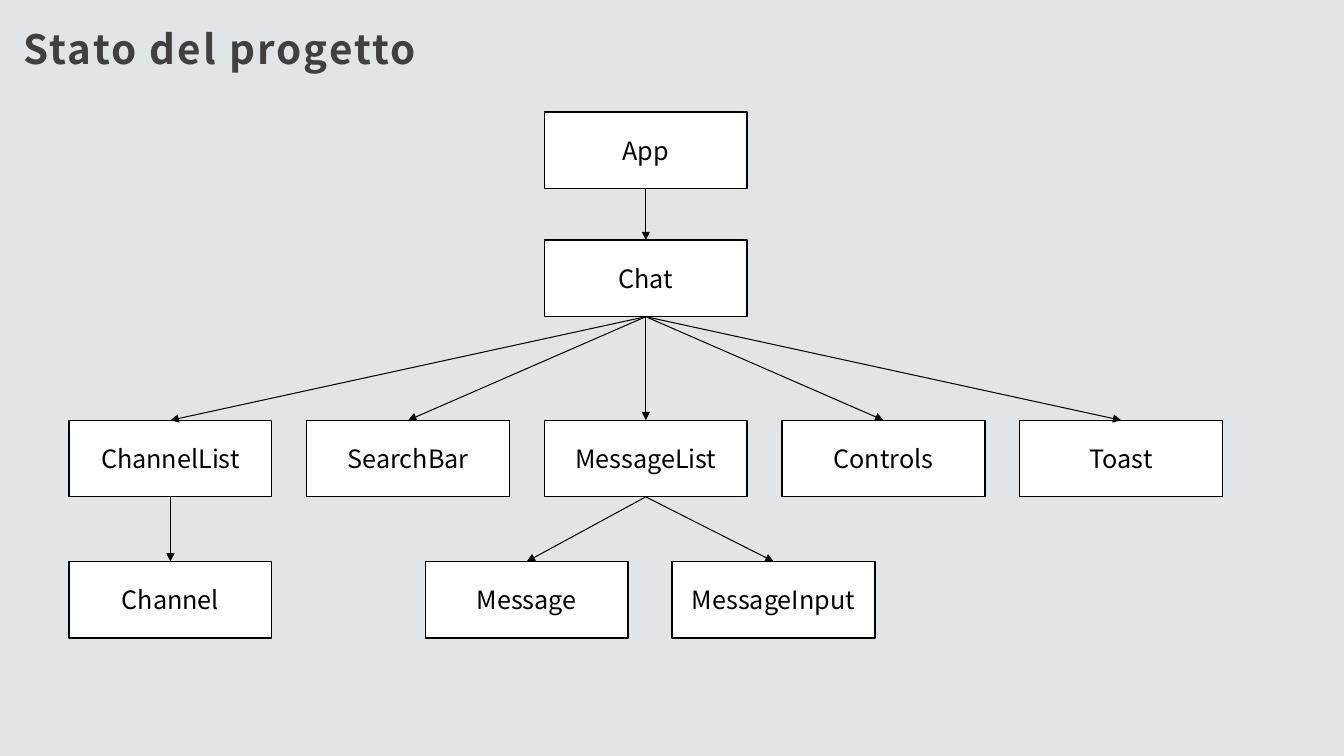
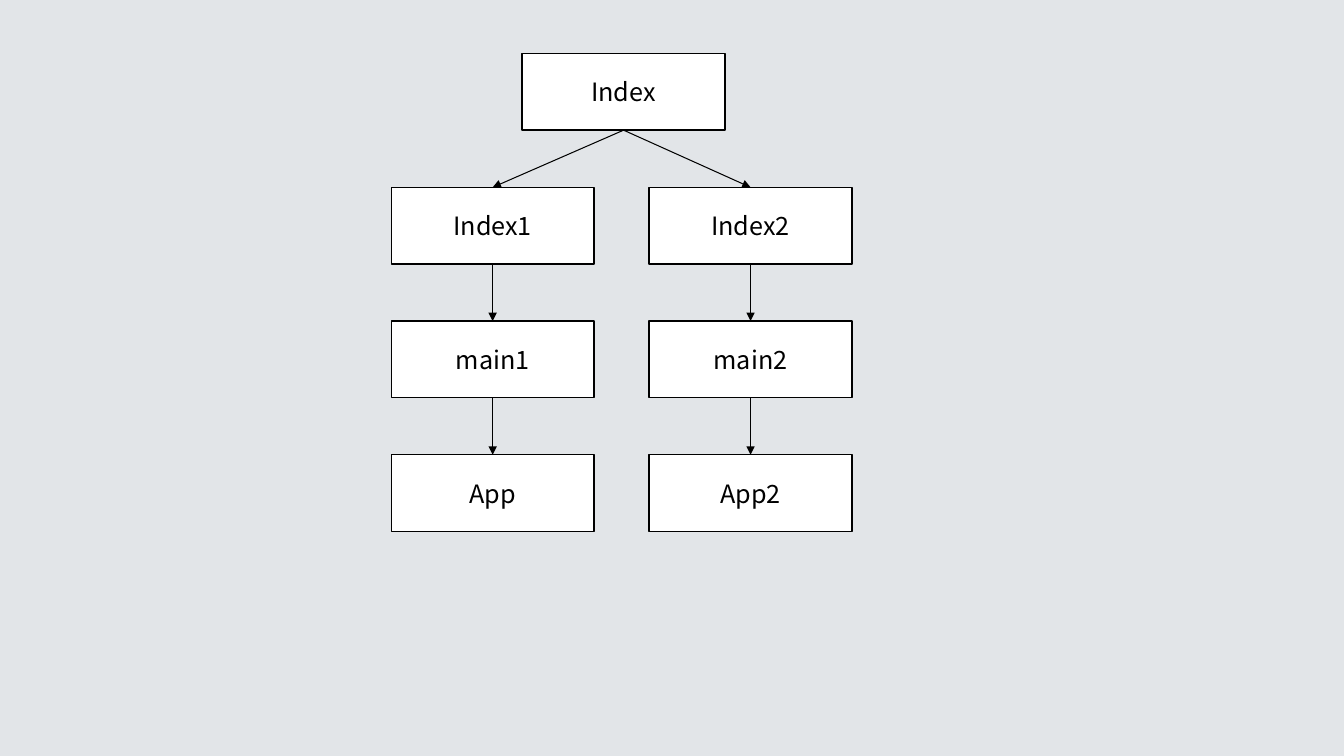
from lxml import etree
from pptx import Presentation
from pptx.dml.color import RGBColor
from pptx.enum.shapes import MSO_CONNECTOR, MSO_SHAPE
from pptx.enum.text import MSO_ANCHOR, MSO_AUTO_SIZE, PP_ALIGN
from pptx.oxml.ns import qn
from pptx.util import Cm, Pt

RECTANGLE = MSO_SHAPE.RECTANGLE
STRAIGHT = MSO_CONNECTOR.STRAIGHT
MIDDLE, BOTTOM = MSO_ANCHOR.MIDDLE, MSO_ANCHOR.BOTTOM
LEFT, CENTER = PP_ALIGN.LEFT, PP_ALIGN.CENTER
NO_AUTOFIT = MSO_AUTO_SIZE.NONE

TITLE_ONLY, BLANK = 5, 6
TOP_SIDE, BOTTOM_SIDE = 0, 2
FONT = "Noto Sans CJK JP"
COLORS = {
    "background": "E2E5E8",
    "title": "404040",
    "box": "FFFFFF",
    "ink": "000000",
}
BOX_WIDTH, BOX_HEIGHT = 5.11, 1.93


def color(name):
    return RGBColor.from_string(COLORS[name])


def write(shape, text, size=18, ink="ink", bold=False, align=CENTER,
          anchor=MIDDLE, line_spacing=None, tracking=None):
    """Fill a shape with one formatted paragraph; tracking is in points."""
    frame = shape.text_frame
    frame.word_wrap = True
    frame.auto_size = NO_AUTOFIT
    frame.vertical_anchor = anchor
    para = frame.paragraphs[0]
    para.alignment = align
    para.line_spacing = line_spacing
    span = para.add_run()
    span.text = text
    span.font.name = FONT
    span.font.size = Pt(size)
    span.font.bold = bold
    span.font.color.rgb = color(ink)
    if tracking is not None:
        span.font._element.set("spc", str(round(tracking * 100)))


def set_title(page, text):
    title = page.shapes.title
    title.left, title.top = Cm(0.3), Cm(0.15)
    title.width, title.height = Cm(11.86), Cm(1.93)
    frame = title.text_frame
    frame.margin_left = frame.margin_top = frame.margin_right = Cm(0.3)
    frame.margin_bottom = Cm(0.25)
    write(title, text, size=28.8, ink="title", bold=True, align=LEFT,
          anchor=BOTTOM, line_spacing=1.3, tracking=1.5)


def add_box(page, text, left, top):
    box = page.shapes.add_shape(
        RECTANGLE, Cm(left), Cm(top), Cm(BOX_WIDTH), Cm(BOX_HEIGHT))
    box.shadow.inherit = False
    box.fill.solid()
    box.fill.fore_color.rgb = color("box")
    box.line.color.rgb = color("ink")
    box.line.width = Pt(1)
    write(box, text)
    return box


def add_arrow(page, parent, child):
    arrow = page.shapes.add_connector(STRAIGHT, 0, 0, 0, 0)
    arrow.begin_connect(parent, BOTTOM_SIDE)
    arrow.end_connect(child, TOP_SIDE)
    arrow.line.color.rgb = color("ink")
    arrow.line.width = Pt(0.75)
    outline = arrow.line._get_or_add_ln()
    etree.SubElement(outline, qn("a:tailEnd"), type="triangle")
    etree.SubElement(arrow._element.spPr, qn("a:effectLst"))


def add_tree(page, positions, children):
    """Draw boxes at {name: (left, top)} and arrows for {parent: children}."""
    boxes = {name: add_box(page, name, left, top)
             for name, (left, top) in positions.items()}
    for parent, names in children.items():
        for name in names:
            add_arrow(page, boxes[parent], boxes[name])


def build_component_page(deck):
    page = deck.slides.add_slide(deck.slide_layouts[TITLE_ONLY])
    set_title(page, "Stato del progetto")
    first_left, column_step = 1.74, 5.99
    center_left = first_left + 2 * column_step
    parts_top, details_top = 10.59, 14.15
    parts = ["ChannelList", "SearchBar", "MessageList", "Controls", "Toast"]
    positions = {"App": (center_left, 2.82), "Chat": (center_left, 6.05)}
    for column, name in enumerate(parts):
        positions[name] = (first_left + column * column_step, parts_top)
    positions["Channel"] = (first_left, details_top)
    positions["Message"] = (10.72, details_top)
    positions["MessageInput"] = (16.94, details_top)
    add_tree(page, positions, {
        "App": ["Chat"],
        "Chat": parts,
        "ChannelList": ["Channel"],
        "MessageList": ["Message", "MessageInput"],
    })


def build_entry_page(deck):
    page = deck.slides.add_slide(deck.slide_layouts[BLANK])
    first_top, row_step = 1.35, 3.37
    chains = {9.86: ["Index1", "main1", "App"],
              16.36: ["Index2", "main2", "App2"]}
    positions = {"Index": (13.16, first_top)}
    children = {"Index": [chain[0] for chain in chains.values()]}
    for left, chain in chains.items():
        for row, name in enumerate(chain, start=1):
            positions[name] = (left, first_top + row * row_step)
        for parent, child in zip(chain, chain[1:]):
            children[parent] = [child]
    add_tree(page, positions, children)


def main():
    deck = Presentation()
    deck.slide_width, deck.slide_height = Cm(33.87), Cm(19.05)
    background = deck.slide_master.background.fill
    background.solid()
    background.fore_color.rgb = color("background")
    build_component_page(deck)
    build_entry_page(deck)
    deck.save("out.pptx")


if __name__ == "__main__":
    main()
